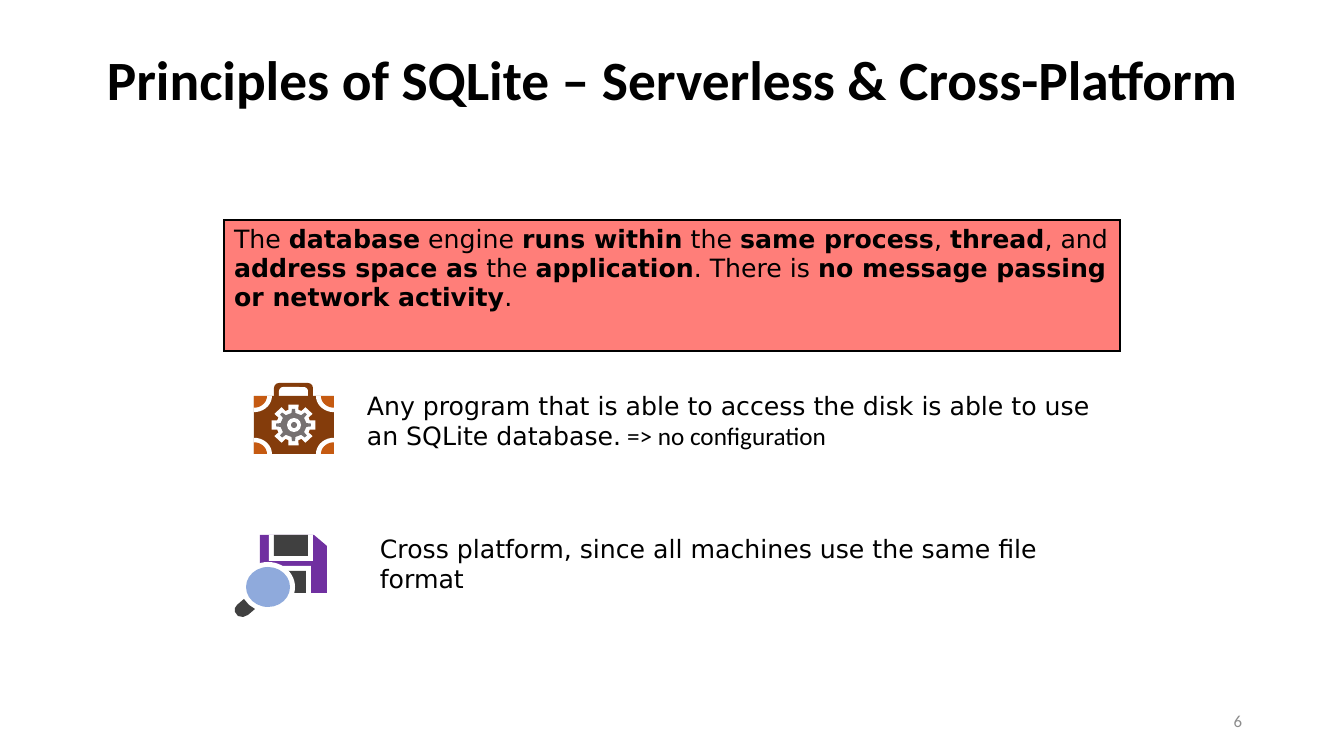
"""Build the slide on the principles of SQLite."""
import math
from typing import NamedTuple

import pptx
import pptx.util
import pptx.dml.color
import pptx.enum.shapes
import pptx.enum.text
import pptx.oxml
import pptx.oxml.ns

RGB = pptx.dml.color.RGBColor
KIND = pptx.enum.shapes.MSO_SHAPE
ALIGN = pptx.enum.text.PP_ALIGN
ANCHOR = pptx.enum.text.MSO_ANCHOR
SCALE = 914400 / 100.8

BLACK = RGB(0x00, 0x00, 0x00)
WHITE = RGB(0xFF, 0xFF, 0xFF)
PALE = RGB(0x8C, 0x8C, 0x8C)
CORAL = RGB(0xFF, 0x7E, 0x79)
GRAY = RGB(0x76, 0x71, 0x71)
RUST = RGB(0xC5, 0x5A, 0x11)
BROWN = RGB(0x84, 0x3C, 0x0B)
DARK = RGB(0x40, 0x40, 0x40)
PURPLE = RGB(0x70, 0x30, 0xA0)
BLUE = RGB(0x8F, 0xAA, 0xDC)
SANS = "DejaVu Sans"
LATIN = "Calibri"

Point = tuple[float, float]


class Run(NamedTuple):
    text: str
    bold: bool = False
    face: str | None = None


class Label(NamedTuple):
    left: int
    top: int
    width: int
    height: int
    runs: list[Run]
    size: float = 18
    face: str = SANS
    color: RGB = BLACK
    align: ALIGN = ALIGN.LEFT
    anchor: ANCHOR = ANCHOR.TOP
    space: float | None = None


class Part(NamedTuple):
    kind: KIND
    left: int
    top: int
    width: int
    height: int
    color: RGB


class Outline(NamedTuple):
    points: list[Point]
    color: RGB


def emu(pixels: float) -> int:
    return round(pixels * SCALE)


def write(para, runs: list[Run], size: float, face: str, color: RGB) -> None:
    para.font.size = pptx.util.Pt(size)
    para.font.name = face
    para.font.color.rgb = color
    same = len({run.bold for run in runs}) == 1
    if same:
        para.font.bold = runs[0].bold
    for item in runs:
        run = para.add_run()
        run.text = item.text
        if not same:
            run.font.bold = item.bold
        if item.face:
            run.font.name = item.face


def add_label(slide, label: Label) -> None:
    box = slide.shapes.add_textbox(*map(emu, label[:4]))
    frame = box.text_frame
    frame.word_wrap = True
    frame.vertical_anchor = label.anchor
    para = frame.paragraphs[0]
    para.alignment = label.align
    if label.space:
        para.line_spacing = label.space
    write(para, label.runs, label.size, label.face, label.color)


def paint(shape, color: RGB) -> None:
    shape.shadow.inherit = False
    shape.fill.solid()
    shape.fill.fore_color.rgb = color
    shape.line.fill.background()


def add_part(slide, part: Part) -> None:
    paint(slide.shapes.add_shape(part.kind, *map(emu, part[1:5])), part.color)


def add_outline(slide, outline: Outline) -> None:
    points = [(emu(x), emu(y)) for x, y in outline.points]
    pen = slide.shapes.build_freeform(*points[0])
    pen.add_line_segments(points[1:], close=True)
    paint(pen.convert_to_shape(), outline.color)


def draw(slide, items: list[Part | Outline]) -> None:
    for item in items:
        if isinstance(item, Part):
            add_part(slide, item)
        else:
            add_outline(slide, item)


def disc(x: int, y: int, wide: int, high: int, color: RGB) -> Part:
    return Part(KIND.OVAL, x - wide, y - high, 2 * wide, 2 * high, color)


def gear(x: float, y: float, inner: float, outer: float, half: int, color: RGB) -> Outline:
    points = []
    for tooth in range(0, 360, 45):
        for turn, reach in ((-half - 4, inner), (-half, outer), (half, outer), (half + 4, inner)):
            angle = math.radians(tooth + turn)
            points.append((x + reach * math.cos(angle), y + 0.93 * reach * math.sin(angle)))
    return Outline(points, color)


def corner(x: int, y: int, across: int, down: int, reach: int, color: RGB) -> Outline:
    arc = [math.radians(step) for step in range(0, 91, 10)]
    curve = [(x + across * reach * math.cos(a), y + down * 0.9 * reach * math.sin(a)) for a in arc]
    return Outline([(x, y), *curve], color)


def add_panel(slide, runs: list[Run]) -> None:
    frame = slide.shapes.add_table(1, 1, *map(emu, (224, 220, 896, 131)))
    cell = frame.table.cell(0, 0)
    write(cell.text_frame.paragraphs[0], runs, 18, SANS, BLACK)
    props = cell._tc.get_or_add_tcPr()
    for side in ("lnL", "lnR", "lnT", "lnB"):
        props.append(pptx.oxml.parse_xml(
            f'<a:{side} {pptx.oxml.ns.nsdecls("a")} w="12700"><a:solidFill>'
            f'<a:srgbClr val="{BLACK}"/></a:solidFill></a:{side}>'))
    cell.fill.solid()
    cell.fill.fore_color.rgb = CORAL


PANEL = [
    Run("The "), Run("database", True), Run(" engine "), Run("runs within", True),
    Run(" the "), Run("same process", True), Run(", "), Run("thread", True),
    Run(", and "), Run("address space as", True), Run(" the "),
    Run("application", True), Run(". There is "),
    Run("no message passing or network activity", True), Run("."),
]
LABELS = [
    Label(93, 40, 1159, 85, [Run("Principles of SQLite – Serverless & Cross-Platform", True)],
          39.6, LATIN, align=ALIGN.CENTER, anchor=ANCHOR.MIDDLE, space=0.9),
    Label(357, 385, 761, 72, [
        Run("Any program that is able to access the disk is able to use an SQLite database."),
        Run(" => no configuration", face=LATIN)]),
    Label(370, 528, 761, 72, [Run("Cross platform, since all machines use the same file format")]),
    Label(950, 701, 302, 40, [Run("6")], 12, LATIN, PALE, ALIGN.RIGHT, ANCHOR.MIDDLE),
]
CORNERS = [
    corner(x, y, across, down, reach, color)
    for x, across in ((254, 1), (334, -1))
    for y, down in ((396, 1), (454, -1))
    for reach, color in ((18, WHITE), (13, RUST))
]
CASE = [
    Part(KIND.ROUNDED_RECTANGLE, 274, 383, 39, 30, BROWN),
    Part(KIND.ROUNDED_RECTANGLE, 279, 387, 29, 24, WHITE),
    Part(KIND.RECTANGLE, 254, 396, 80, 58, BROWN),
    *CORNERS,
    gear(293.5, 425, 17, 22.5, 13, WHITE),
    gear(293.5, 425, 13, 17.5, 5, GRAY),
    disc(294, 425, 7, 7, WHITE),
    disc(294, 425, 3, 3, GRAY),
]
DISK = [
    Outline([(260, 535), (314, 535), (327, 546), (327, 593), (260, 593)], PURPLE),
    Part(KIND.RECTANGLE, 269, 535, 44, 26, WHITE),
    Part(KIND.RECTANGLE, 274, 535, 34, 21, DARK),
    Part(KIND.RECTANGLE, 280, 566, 31, 27, WHITE),
    Part(KIND.RECTANGLE, 288, 571, 18, 22, DARK),
    disc(268, 587, 27, 25, WHITE),
    Outline([(244, 599), (237, 605), (235, 608), (235, 612), (238, 616), (243, 617),
             (248, 615), (255, 609), (249, 605)], DARK),
    disc(268, 587, 22, 20, BLUE),
]

deck = pptx.Presentation()
deck.slide_width, deck.slide_height = emu(1344), emu(756)
slide = deck.slides.add_slide(deck.slide_layouts[6])
add_panel(slide, PANEL)
draw(slide, CASE + DISK)
for label in LABELS:
    add_label(slide, label)
deck.save("out.pptx")
